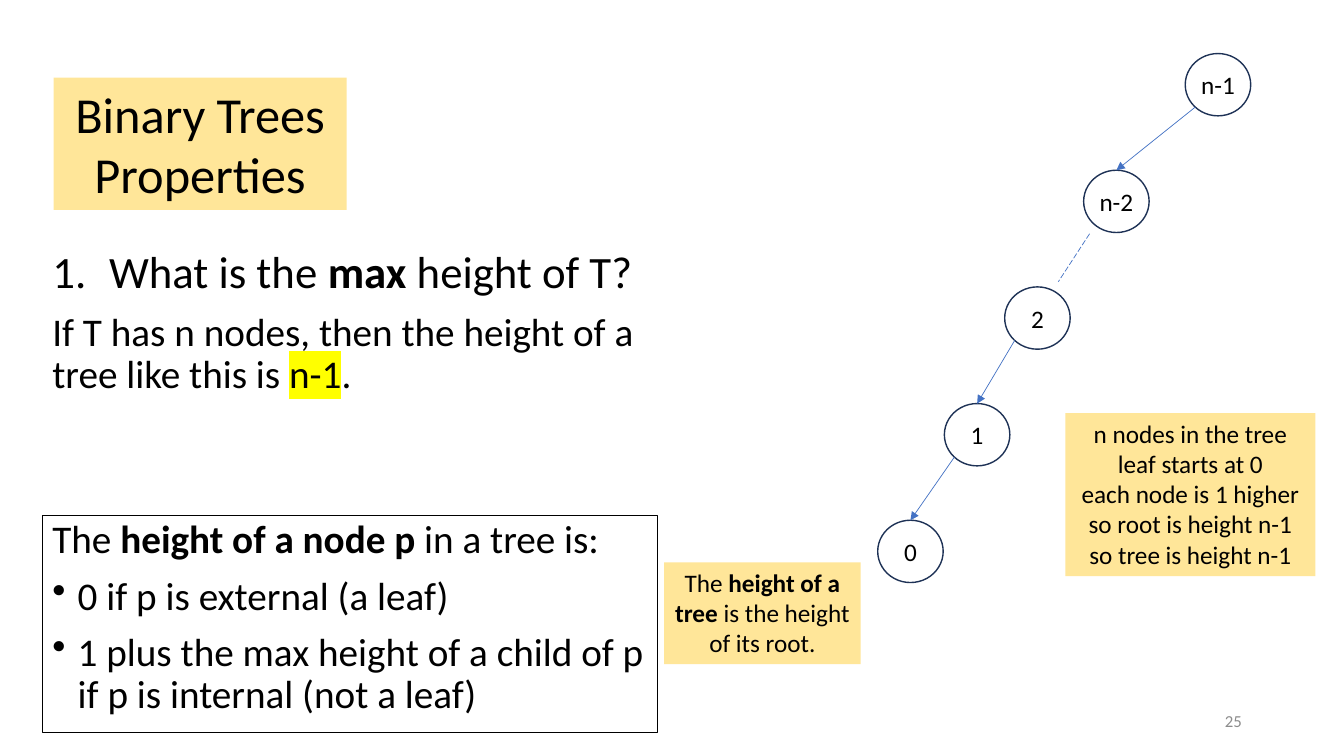
from lxml.etree import SubElement
from pptx import Presentation
from pptx.dml.color import RGBColor
from pptx.enum.dml import MSO_LINE
from pptx.enum.shapes import MSO_CONNECTOR, MSO_SHAPE
from pptx.enum.text import MSO_ANCHOR, PP_ALIGN
from pptx.oxml.ns import qn
from pptx.util import Cm, Pt

COLORS = {
    "text": "000000",
    "note": "FFE699",
    "border": "000000",
    "node": "1E3256",
    "edge": "4472C4",
    "marker": "FFFF00",
    "number": "8C8C8C",
}
FONT = "Calibri"

NUMBERED = {"tag": "a:buAutoNum", "attribute": "type", "value": "arabicPeriod", "indent": 1.43}
BULLETED = {"tag": "a:buChar", "attribute": "char", "value": "•", "indent": 0.64}

CENTERED = {"alignment": PP_ALIGN.CENTER}
RIGHT = {"alignment": PP_ALIGN.RIGHT}
OPENING = {"alignment": PP_ALIGN.LEFT, "line_spacing": 0.9, "space_before": Pt(0)}
FOLLOWING = {**OPENING, "space_before": Pt(10)}

TITLE = [(CENTERED, None, 36, [("Binary Trees Properties", "")])]
QUESTION = [
    (OPENING, NUMBERED, 32, [("What is the ", ""), ("max", "bold"), (" height of T?", "")]),
    (FOLLOWING, None, 28, [
        ("If T has n nodes, then the height of a tree like this is ", ""),
        ("n-1", "marker"),
        (".", ""),
    ]),
]
NODE_HEIGHT = [
    (OPENING, None, 28, [("The ", ""), ("height of a node p ", "bold"), ("in a tree is:", "")]),
    (FOLLOWING, BULLETED, 28, [("0 if p is external (a leaf)", "")]),
    (FOLLOWING, BULLETED, 28, [
        ("1 plus the max height of a child of p\nif p is internal (not a leaf)", ""),
    ]),
]
TREE_HEIGHT = [
    (CENTERED, None, 18, [
        ("The ", ""), ("height of a tree ", "bold"), ("is the height of its root.", ""),
    ]),
]
COUNTING = [
    (CENTERED, None, 18, [("n nodes in the tree\nleaf starts at 0\neach node is 1 higher", "")]),
    (CENTERED, None, 18, [("so root is height n-1\nso tree is height n-1", "")]),
]
SLIDE_NUMBER = [(RIGHT, None, 12, [("25", "")])]

PANELS = [
    (QUESTION, (1.07, 6.17, 16.74, 5.77), None, None),
    (TITLE, (1.35, 1.96, 7.39, 3.33), "note", None),
    (NODE_HEIGHT, (1.07, 12.98, 15.49, 5.49), None, "border"),
    (TREE_HEIGHT, (16.74, 14.17, 4.95, 2.57), "note", None),
    (COUNTING, (26.85, 10.41, 6.3, 4.11), "note", None),
]
NUMBER_BOX = (23.93, 17.65, 7.62, 1.02)

NODES = [("n-1", 29.87), ("n-2", 27.31), ("2", 25.32), ("1", 23.8), ("0", 22.12)]
NODE_WIDTH, NODE_TALL = 1.65, 1.57
FIRST_TOP, LEVEL_STEP = 1.35, 2.94
SKIPPED_LEVEL = 1
ARROW_ENDS = (0.25, 1.35), (NODE_WIDTH / 2, 0)
DASH_ENDS = (0.15, 1.6), (1.35, -0.13)


def color(name):
    return RGBColor.from_string(COLORS[name])


def apply(target, values):
    for attribute, value in values.items():
        setattr(target, attribute, value)


def write(frame, paragraphs, tone="text", **settings):
    apply(frame, {"word_wrap": True, "vertical_anchor": MSO_ANCHOR.TOP, **settings})
    for index, (layout, marker, size, pieces) in enumerate(paragraphs):
        paragraph = frame.paragraphs[0] if index == 0 else frame.add_paragraph()
        if marker:
            properties = paragraph._p.get_or_add_pPr()
            properties.set("marL", str(Cm(marker["indent"])))
            properties.set("indent", str(-Cm(marker["indent"])))
            bullet = SubElement(properties, qn(marker["tag"]))
            bullet.set(marker["attribute"], marker["value"])
        apply(paragraph, layout)
        for text, style in pieces:
            for position, line in enumerate(text.split("\n")):
                if position:
                    paragraph.add_line_break()
                run = paragraph.add_run()
                run.text = line
                apply(run.font, {"name": FONT, "size": Pt(size), "bold": style == "bold"})
                run.font.color.rgb = color(tone)
                if style == "marker":
                    properties = run._r.get_or_add_rPr()
                    highlight = SubElement(properties, qn("a:highlight"))
                    SubElement(highlight, qn("a:srgbClr")).set("val", COLORS[style])
                    properties.find(qn("a:latin")).addprevious(highlight)


def add_outlined(slide, preset, box, fill, line, weight):
    shape = slide.shapes.add_shape(preset, *map(Cm, box))
    shape.shadow.inherit = False
    if fill:
        shape.fill.solid()
        shape.fill.fore_color.rgb = color(fill)
    else:
        shape.fill.background()
    if line:
        shape.line.color.rgb = color(line)
        shape.line.width = Pt(weight)
    else:
        shape.line.fill.background()
    return shape.text_frame


def add_edge(slide, start, end, dashed):
    edge = slide.shapes.add_connector(MSO_CONNECTOR.STRAIGHT, *map(Cm, start + end))
    edge.line.color.rgb = color("edge")
    edge.line.width = Pt(0.5)
    if dashed:
        edge.line.dash_style = MSO_LINE.LONG_DASH
    else:
        SubElement(edge.line._get_or_add_ln(), qn("a:tailEnd")).set("type", "triangle")
    SubElement(edge._element.spPr, qn("a:effectLst"))


def add_tree(slide):
    corners = [(left, FIRST_TOP + level * LEVEL_STEP) for level, (_, left) in enumerate(NODES)]
    for (label, _), corner in zip(NODES, corners):
        box = corner + (NODE_WIDTH, NODE_TALL)
        frame = add_outlined(slide, MSO_SHAPE.OVAL, box, None, "node", 1)
        margins = {f"margin_{side}": 0 for side in ("left", "right", "top", "bottom")}
        write(frame, [(CENTERED, None, 18, [(label, "")])],
              word_wrap=False, vertical_anchor=MSO_ANCHOR.MIDDLE, **margins)
    for level, (parent, child) in enumerate(zip(corners, corners[1:])):
        dashed = level == SKIPPED_LEVEL
        leave, reach = DASH_ENDS if dashed else ARROW_ENDS
        start = (parent[0] + leave[0], parent[1] + leave[1])
        end = (child[0] + reach[0], child[1] + reach[1])
        add_edge(slide, start, end, dashed)


def main():
    deck = Presentation()
    apply(deck, {"slide_width": Cm(33.87), "slide_height": Cm(19.05)})
    slide = deck.slides.add_slide(deck.slide_layouts[6])
    for paragraphs, box, fill, line in PANELS:
        if fill or line:
            frame = add_outlined(slide, MSO_SHAPE.RECTANGLE, box, fill, line, 0.75)
        else:
            frame = slide.shapes.add_textbox(*map(Cm, box)).text_frame
        write(frame, paragraphs)
    add_tree(slide)
    number = slide.shapes.add_textbox(*map(Cm, NUMBER_BOX))
    write(number.text_frame, SLIDE_NUMBER, "number", vertical_anchor=MSO_ANCHOR.MIDDLE)
    deck.save("out.pptx")


if __name__ == "__main__":
    main()
